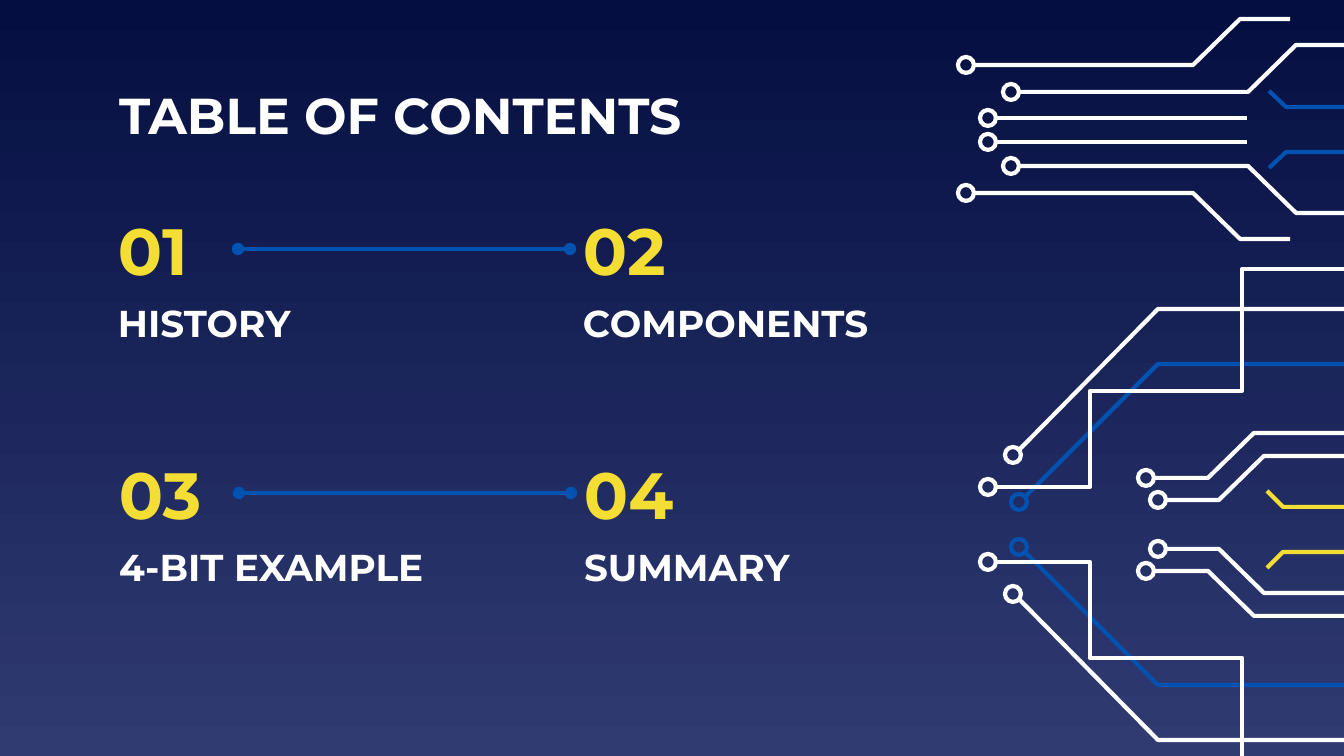
from lxml.etree import SubElement
from pptx import Presentation
from pptx.dml.color import RGBColor
from pptx.enum.shapes import MSO_CONNECTOR as Connector, MSO_SHAPE as Shape
from pptx.enum.text import MSO_ANCHOR as Anchor, MSO_AUTO_SIZE as AutoSize, PP_ALIGN as Align
from pptx.oxml.ns import qn
from pptx.util import Pt

PX = 914400 / 134.4
WHITE, BLUE, YELLOW = "FFFFFF", "0152B1", "F5DE34"


def paint(target, color, weight=None):
    if weight:
        target.width = Pt(weight)
        target = target.fill
    target.solid()
    target.fore_color.rgb = RGBColor.from_string(color)


def write(box, text, size, color):
    frame = box.text_frame
    frame.word_wrap = True
    frame.auto_size = AutoSize.NONE
    frame.vertical_anchor = Anchor.MIDDLE
    frame.margin_left = frame.margin_right = round(13 * PX)
    frame.margin_top = frame.margin_bottom = round(13 * PX)
    para = frame.paragraphs[0]
    para.alignment = Align.LEFT
    span = para.add_run()
    span.text = text
    span.font.name = "Montserrat"
    span.font.size = Pt(size)
    span.font.bold = True
    paint(span.font.fill, color)


deck = Presentation()
deck.slide_width, deck.slide_height = round(1344 * PX), round(756 * PX)
page = deck.slides.add_slide(deck.slide_layouts[5])
shapes = page.shapes

backdrop = page.background.fill
backdrop.gradient()
backdrop.gradient_angle = 270
for stop, (position, color) in zip(backdrop.gradient_stops, [(0, "040E41"), (1, "303B72")]):
    stop.position = position
    stop.color.rgb = RGBColor.from_string(color)

title = shapes.title
title.left, title.top, title.width, title.height = [round(n * PX) for n in (106, 79, 789, 70)]
write(title, "TABLE OF CONTENTS", 27, WHITE)

# Each trace: color, sum of mirrored heights, ring centre, corner points
traces = [
    (WHITE, 1049, (1158, 500), [(1166, 500), (1219, 500), (1264, 456), (1371, 456)]),
    (WHITE, 1049, (1146, 478), [(1154, 478), (1208, 478), (1254, 433), (1371, 433)]),
    (YELLOW, 1059, None, [(1267, 491), (1283, 507), (1359, 507)]),
    (BLUE, 259, None, [(1269, 91), (1286, 107), (1361, 107)]),
    (BLUE, 1049, (1019, 502), [(1025, 497), (1158, 364), (1370, 364)]),
    (WHITE, 1049, (988, 487),
     [(996, 487), (1090, 487), (1090, 391), (1242, 391), (1242, 269), (1371, 269)]),
    (WHITE, 1049, (1013, 455), [(1019, 450), (1158, 309), (1371, 309)]),
    (WHITE, 258, (966, 65), [(973, 65), (1193, 65), (1240, 19), (1290, 19)]),
    (WHITE, 258, (1011, 92), [(1019, 92), (1248, 92), (1296, 45), (1378, 45)]),
    (WHITE, 260, (988, 118), [(996, 118), (1247, 118)]),
]
for color, mirror, ring, points in traces:
    for flipped in (False, True):
        route = [(x, mirror - y if flipped else y) for x, y in points]
        if len(route) == 2:
            ends = [round(n * PX) for point in route for n in point]
            trace = shapes.add_connector(Connector.STRAIGHT, *ends)
            SubElement(trace.element.spPr, qn("a:effectLst"))
        else:
            builder = shapes.build_freeform(*route[0], scale=PX)
            builder.add_line_segments(route[1:], close=False)
            trace = builder.convert_to_shape()
            trace.fill.background()
            trace.shadow.inherit = False
        paint(trace.line, color, 2.25)
        if ring:
            x, y = ring[0], mirror - ring[1] if flipped else ring[1]
            node = shapes.add_shape(
                Shape.OVAL, *[round(n * PX) for n in (x - 8, y - 8, 16, 16)])
            node.fill.background()
            node.shadow.inherit = False
            paint(node.line, color, 2.25)

rows = [
    (210, [("01", "HISTORY", 105, 324), ("02", "COMPONENTS", 570, 374)]),
    (454, [("03", "4-BIT EXAMPLE", 106, 379), ("04", "SUMMARY", 571, 324)]),
]
for top, entries in rows:
    numbers = []
    for number, label, left, width in entries:
        box = shapes.add_textbox(*[round(n * PX) for n in (left, top, 133, 78)])
        write(box, number, 35, YELLOW)
        numbers.append(box)
        box = shapes.add_textbox(*[round(n * PX) for n in (left, top + 78, width, 70)])
        write(box, label, 20, WHITE)
    link = shapes.add_connector(Connector.STRAIGHT, 0, 0, 0, 0)
    link.begin_connect(numbers[0], 3)
    link.end_connect(numbers[1], 1)
    paint(link.line, BLUE, 2.25)
    stroke = link.line._get_or_add_ln()
    for end in ("a:headEnd", "a:tailEnd"):
        SubElement(stroke, qn(end), type="oval")
    SubElement(link.element.spPr, qn("a:effectLst"))

deck.save("out.pptx")
